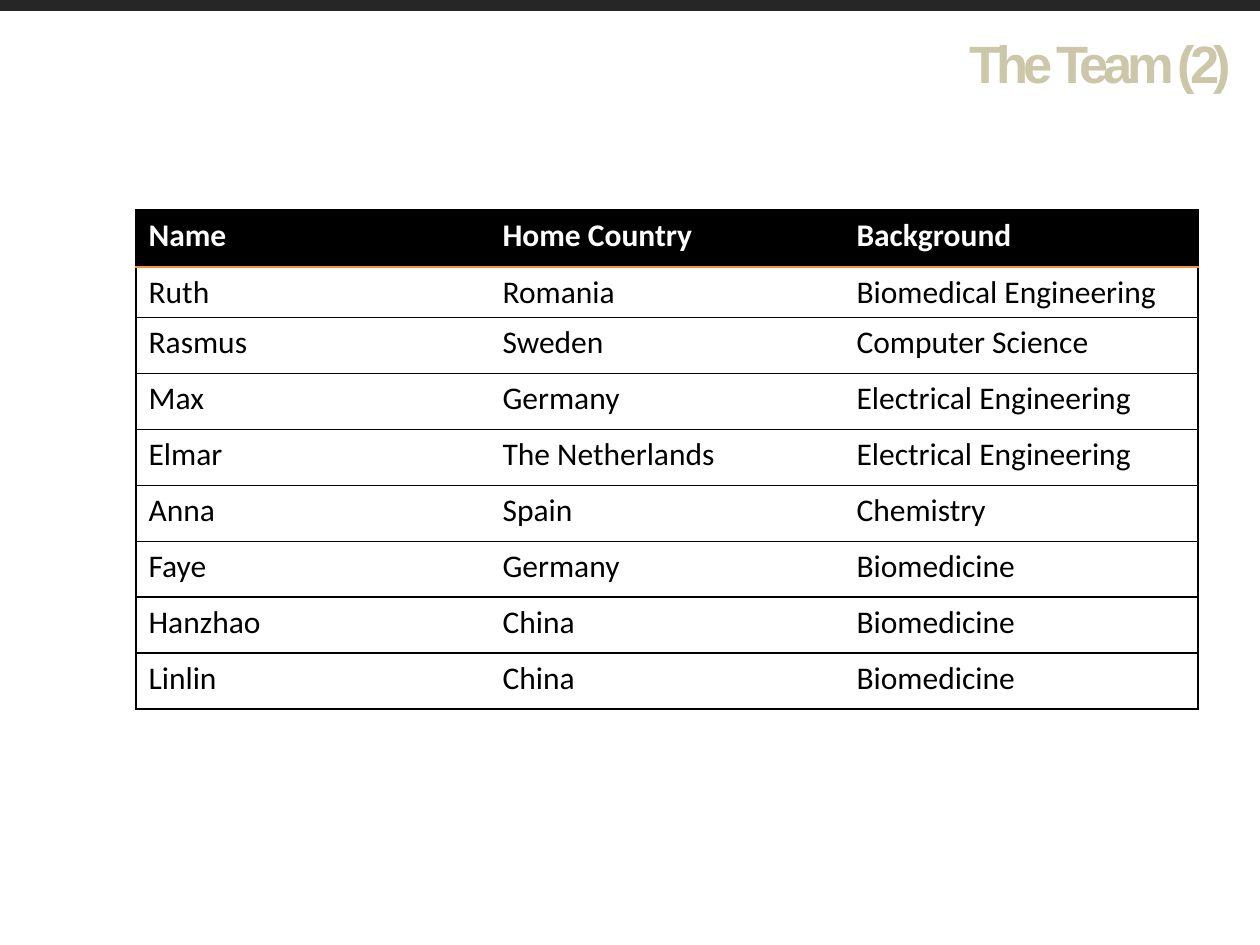
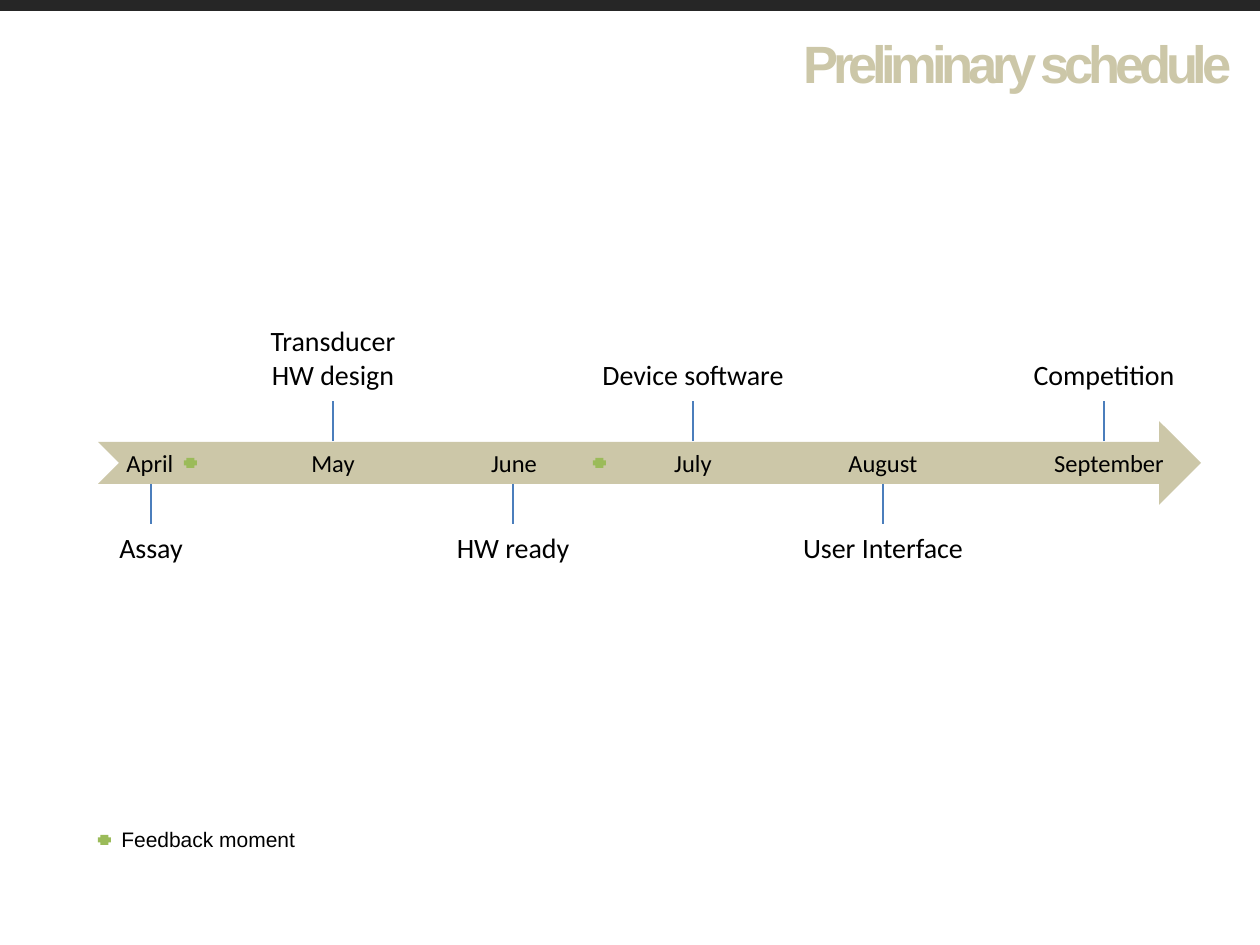
from dataclasses import dataclass

from lxml.etree import SubElement
from pptx import Presentation
from pptx.dml.color import RGBColor
from pptx.enum.shapes import MSO_CONNECTOR, MSO_SHAPE
from pptx.enum.text import MSO_ANCHOR, PP_ALIGN
from pptx.oxml.ns import qn
from pptx.util import Emu, Pt

TEAM_TITLE = "The Team (2)"
TEAM_HEADER = ("Name", "Home Country", "Background")
TEAM = [
    ("Ruth", "Romania", "Biomedical Engineering"),
    ("Rasmus", "Sweden", "Computer Science"),
    ("Max", "Germany", "Electrical Engineering"),
    ("Elmar", "The Netherlands", "Electrical Engineering"),
    ("Anna", "Spain", "Chemistry"),
    ("Faye", "Germany", "Biomedicine"),
    ("Hanzhao", "China", "Biomedicine"),
    ("Linlin", "China", "Biomedicine"),
]

SCHEDULE_TITLE = "Preliminary schedule"
# month, centre of the month label, centre of the tick and task, task
MILESTONES = [
    ("April", 150, 151, "Assay"),
    ("May", 333, 333, "Transducer\nHW design"),
    ("June", 514, 513, "HW ready"),
    ("July", 693, 693, "Device software"),
    ("August", 883, 883, "User Interface"),
    ("September", 1109, 1104, "Competition"),
]
FEEDBACK_MOMENTS = [184, 593]
FEEDBACK_LABEL = "Feedback moment"


@dataclass(frozen=True)
class Theme:
    accent: str = "CCC7A8"
    band: str = "262626"
    ink: str = "000000"
    paper: str = "FFFFFF"
    header_rule: str = "F69240"
    tick: str = "4B7EBC"
    feedback: str = "9BBB59"
    heading_font: str = "Arial"
    body_font: str = "Calibri"
    title_size: int = 30
    table_size: int = 18
    task_size: int = 16
    month_size: int = 14
    legend_size: int = 12


THEME = Theme()
SLIDE_WIDTH, SLIDE_HEIGHT = 1260, 945
TABLE_LEFT, TABLE_TOP, COLUMN_WIDTH = 136, 210, 354
ROW_HEIGHTS = [57, 50] + [56] * (len(TEAM) - 1)
ARROW = (98, 421, 1103, 84)
SHAFT_TOP, SHAFT_BOTTOM = 441, 484
TICK_LENGTH = 40
MONTH_WIDTH, TASK_WIDTH, TASK_HEIGHT = 160, 258, 81
TASK_GAP = 4
MARKER_WIDTH, MARKER_HEIGHT = 13, 10
NO_STYLE_TABLE = "{2D5ABB26-0587-4C30-8999-92F81FD0307C}"


def px(length):
    return Emu(round(length * 914400 / 126))


def format_text(text_frame, size, font=THEME.body_font, color=THEME.ink,
                bold=False, align=PP_ALIGN.LEFT):
    for paragraph in text_frame.paragraphs:
        paragraph.alignment = align
        for run in paragraph.runs:
            run.font.size = Pt(size)
            run.font.name = font
            run.font.bold = bold
            run.font.color.rgb = RGBColor.from_string(color)


def add_text(slide, text, box, size, anchor=MSO_ANCHOR.TOP, **style):
    text_frame = slide.shapes.add_textbox(*map(px, box)).text_frame
    text_frame.word_wrap = True
    text_frame.vertical_anchor = anchor
    text_frame.text = text
    format_text(text_frame, size, **style)
    return text_frame


def add_line(slide, start, end, color, width):
    connector = slide.shapes.add_connector(
        MSO_CONNECTOR.STRAIGHT, *map(px, start + end))
    connector.line.color.rgb = RGBColor.from_string(color)
    connector.line.width = Pt(width)
    SubElement(connector._element.spPr, qn("a:effectLst"))


def add_filled_shape(slide, kind, box, color):
    shape = slide.shapes.add_shape(kind, *map(px, box))
    shape.shadow.inherit = False
    shape.fill.solid()
    shape.fill.fore_color.rgb = RGBColor.from_string(color)
    shape.line.fill.background()


def add_titled_slide(presentation, title):
    slide = presentation.slides.add_slide(presentation.slide_layouts[6])
    add_line(slide, (0, 5), (SLIDE_WIDTH, 5), THEME.band, 6.75)
    text_frame = add_text(slide, title, (0, 25, 1244, 77), THEME.title_size,
                          font=THEME.heading_font, color=THEME.accent,
                          bold=True, align=PP_ALIGN.RIGHT)
    text_frame.paragraphs[0].runs[0].font._element.set("spc", "-300")
    return slide


def add_border(cell, side, color, width):
    """Draw one side (L, R, T or B); sides must be added in that order."""
    line = SubElement(cell._tc.get_or_add_tcPr(), qn(f"a:ln{side}"),
                      w=str(Pt(width)))
    fill = SubElement(line, qn("a:solidFill"))
    SubElement(fill, qn("a:srgbClr"), val=color)


def style_cell(cell, row, column):
    is_header = row == 0
    black, orange = (THEME.ink, 1), (THEME.header_rule, 0.75)
    if column == 0:
        add_border(cell, "L", *black)
    if column == len(TEAM_HEADER) - 1:
        add_border(cell, "R", *black)
    add_border(cell, "T", *(orange if row == 1 else black))
    add_border(cell, "B", *(orange if is_header else black))
    if is_header:
        cell.fill.solid()
        cell.fill.fore_color.rgb = RGBColor.from_string(THEME.ink)
    else:
        cell.fill.background()
    format_text(cell.text_frame, THEME.table_size, bold=is_header,
                color=THEME.paper if is_header else THEME.ink)


def build_team_slide(presentation):
    slide = add_titled_slide(presentation, TEAM_TITLE)
    rows = [TEAM_HEADER] + TEAM
    columns = len(TEAM_HEADER)
    box = (TABLE_LEFT, TABLE_TOP, COLUMN_WIDTH * columns, sum(ROW_HEIGHTS))
    table = slide.shapes.add_table(len(rows), columns, *map(px, box)).table
    table.horz_banding = False
    table._tbl.tblPr.find(qn("a:tableStyleId")).text = NO_STYLE_TABLE
    for column in table.columns:
        column.width = px(COLUMN_WIDTH)
    for row, values in enumerate(rows):
        table.rows[row].height = px(ROW_HEIGHTS[row])
        for column, value in enumerate(values):
            cell = table.cell(row, column)
            cell.text_frame.text = value
            style_cell(cell, row, column)


def add_feedback_marker(slide, left, top):
    add_filled_shape(slide, MSO_SHAPE.CROSS,
                     (left, top, MARKER_WIDTH, MARKER_HEIGHT), THEME.feedback)


def add_milestone(slide, month, month_center, center, task, above):
    add_text(slide, month,
             (month_center - MONTH_WIDTH / 2, SHAFT_TOP,
              MONTH_WIDTH, SHAFT_BOTTOM - SHAFT_TOP),
             THEME.month_size, MSO_ANCHOR.MIDDLE, align=PP_ALIGN.CENTER)
    if above:
        start, end = SHAFT_TOP, SHAFT_TOP - TICK_LENGTH
        task_top, anchor = end - TASK_GAP - TASK_HEIGHT, MSO_ANCHOR.BOTTOM
    else:
        start, end = SHAFT_BOTTOM, SHAFT_BOTTOM + TICK_LENGTH
        task_top, anchor = end, MSO_ANCHOR.TOP
    add_line(slide, (center, start), (center, end), THEME.tick, 0.75)
    add_text(slide, task,
             (center - TASK_WIDTH / 2, task_top, TASK_WIDTH, TASK_HEIGHT),
             THEME.task_size, anchor, align=PP_ALIGN.CENTER)


def build_schedule_slide(presentation):
    slide = add_titled_slide(presentation, SCHEDULE_TITLE)
    add_filled_shape(slide, MSO_SHAPE.NOTCHED_RIGHT_ARROW, ARROW, THEME.accent)
    for index, milestone in enumerate(MILESTONES):
        add_milestone(slide, *milestone, above=index % 2 == 1)
    for left in FEEDBACK_MOMENTS:
        add_feedback_marker(slide, left, 458)
    add_feedback_marker(slide, ARROW[0], 835)
    add_text(slide, FEEDBACK_LABEL, (109, 820, 200, 38), THEME.legend_size,
             font=THEME.heading_font)


def main():
    presentation = Presentation()
    presentation.slide_width = px(SLIDE_WIDTH)
    presentation.slide_height = px(SLIDE_HEIGHT)
    build_team_slide(presentation)
    build_schedule_slide(presentation)
    presentation.save("out.pptx")


if __name__ == "__main__":
    main()
